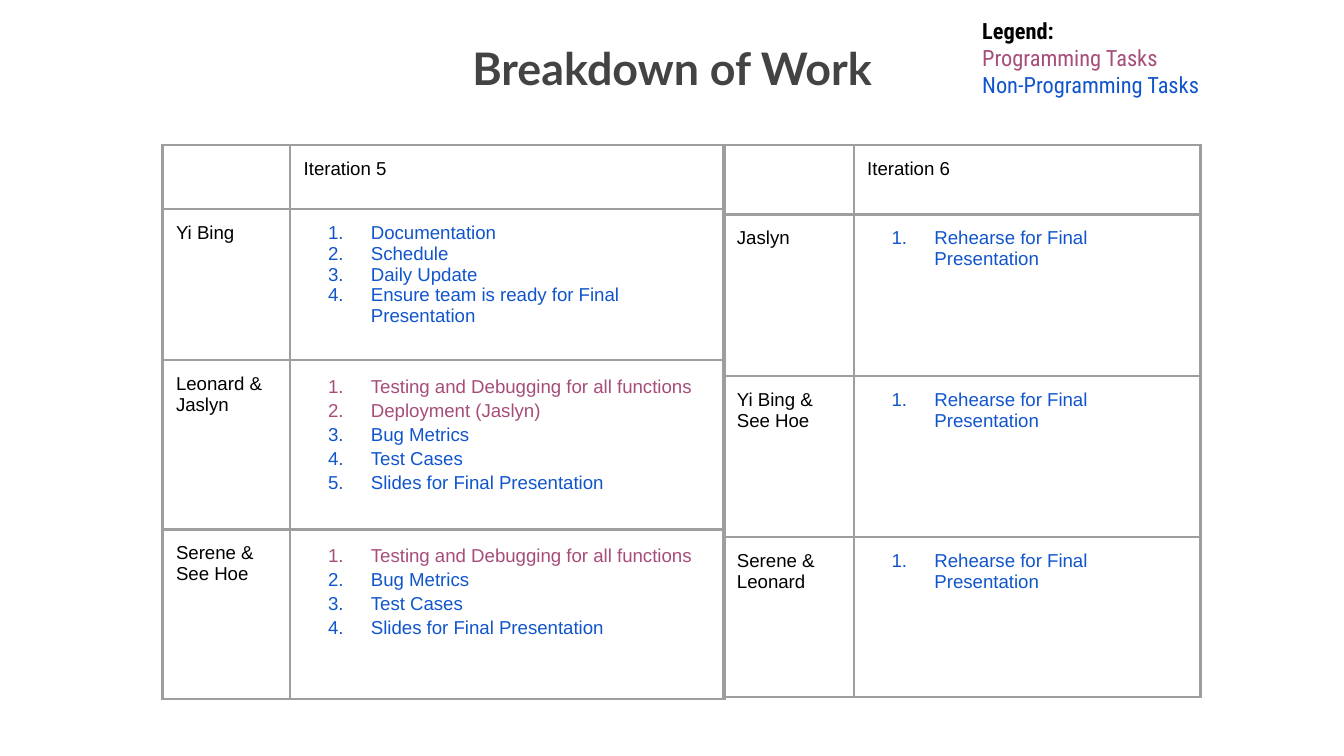
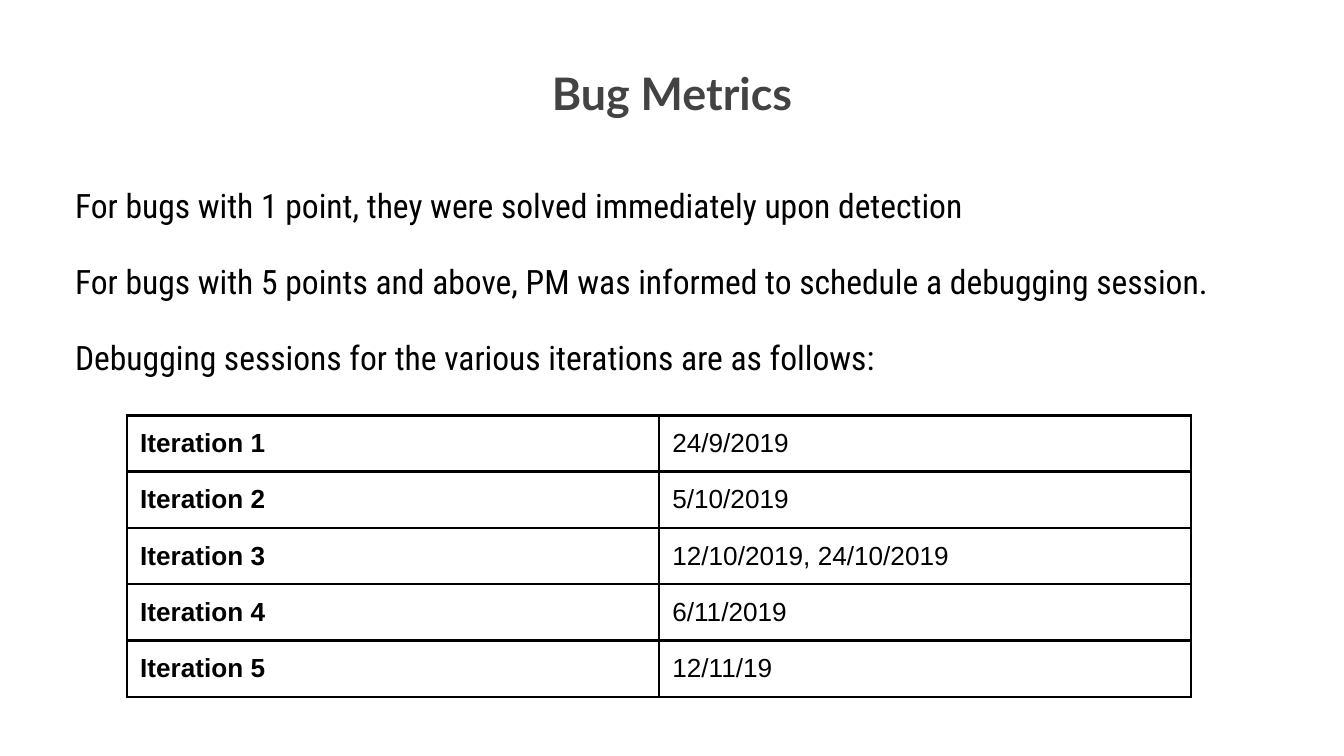
from pptx import Presentation
from pptx.dml.color import RGBColor as RGB
from pptx.enum.text import MSO_ANCHOR as ANCHOR, MSO_AUTO_SIZE as AUTO, PP_ALIGN as ALIGN
from pptx.util import Pt
from lxml.etree import SubElement as sub

A = "{http://schemas.openxmlformats.org/drawingml/2006/main}"
C = {"black": "000000", "title": "434343", "program": "A64D79",
     "other": "1155CC", "grey": "9E9E9E"}
INSET = Pt(7.2)


def add_text(tf, lines, font, size, spacing=None, before=0, align=ALIGN.LEFT):
    tf.margin_left = tf.margin_right = tf.margin_top = tf.margin_bottom = INSET
    tf.word_wrap = True
    tf.auto_size = AUTO.NONE
    tf.vertical_anchor = ANCHOR.TOP
    for i, (text, color, bold) in enumerate(lines):
        p = tf.add_paragraph() if i else tf.paragraphs[0]
        p.text = text
        p.alignment = align
        if spacing:
            p.line_spacing = spacing
        p.space_before = Pt(before if i else 0)
        r = p.runs[0]
        r.font.name = font
        r.font.size = Pt(size)
        r.font.bold = bold
        r.font.color.rgb = RGB.from_string(C[color])


def add_table(s, x, y, cols, heights, rows, size, border, bold_names=False):
    frame = s.shapes.add_table(len(heights), len(cols), Pt(x), Pt(y),
                               Pt(sum(cols)), Pt(sum(heights)))
    tbl = frame.table
    tbl.first_row = tbl.horz_banding = False
    for col, w in zip(tbl.columns, cols):
        col.width = Pt(w)
    for row, h in zip(tbl.rows, heights):
        row.height = Pt(h)
    for i, row in enumerate(rows):
        for j, content in enumerate(row):
            cell = tbl.cell(i, j)
            cell.margin_left = cell.margin_right = INSET
            cell.margin_top = cell.margin_bottom = INSET
            tcPr = cell._tc.get_or_add_tcPr()
            for side in ("lnL", "lnR", "lnT", "lnB"):
                ln = sub(tcPr, A + side, w=str(Pt(1.5)))
                sub(sub(ln, A + "solidFill"), A + "srgbClr", val=C[border])
            cell.fill.background()
            listed = isinstance(content, tuple)
            spacing, items = content if listed else (None, [(content, "black")])
            tf = cell.text_frame
            if not content:
                tf.paragraphs[0]._p.get_or_add_endParaRPr().set("sz", str(size * 100))
                continue
            for k, (text, color) in enumerate(items):
                p = tf.add_paragraph() if k else tf.paragraphs[0]
                p.text = text
                if spacing:
                    p.line_spacing = spacing
                r = p.runs[0]
                r.font.name = "Arial"
                r.font.size = Pt(size)
                r.font.bold = bold_names and j == 0
                r.font.color.rgb = RGB.from_string(C[color])
                if listed:
                    pPr = p._p.get_or_add_pPr()
                    pPr.set("marL", str(Pt(36)))
                    pPr.set("indent", str(Pt(-23)))
                    sub(sub(pPr, A + "buClr"), A + "srgbClr", val=C[color])
                    sub(pPr, A + "buFont", typeface="Arial")
                    sub(pPr, A + "buAutoNum", type="arabicPeriod")


prs = Presentation()
prs.slide_width, prs.slide_height = Pt(720), Pt(405)

slides = []
for title, top, height in [("Breakdown of Work", 14.4, 43.2), ("Bug Metrics", 28.1, 74.2)]:
    s = prs.slides.add_slide(prs.slide_layouts[5])
    sp = s.shapes.title
    sp.left, sp.top, sp.width, sp.height = Pt(154.8), Pt(top), Pt(410.4), Pt(height)
    add_text(sp.text_frame, [(title, "title", True)], "Lato", 24, align=ALIGN.CENTER)
    slides.append(s)
work, bugs = slides

legend = work.shapes.add_textbox(Pt(519.1), Pt(2.2), Pt(149), Pt(51.8))
add_text(legend.text_frame, [("Legend:", "black", True),
                             ("Programming Tasks", "program", False),
                             ("Non-Programming Tasks", "other", False)],
         "Roboto Condensed", 12)

testing = ("Testing and Debugging for all functions", "program")
closing = [("Bug Metrics", "other"), ("Test Cases", "other"),
           ("Slides for Final Presentation", "other")]
planning = [("Documentation", "other"), ("Schedule", "other"), ("Daily Update", "other"),
            ("Ensure team is ready for Final Presentation", "other")]
rehearse = (None, [("Rehearse for Final Presentation", "other")])

add_table(work, 87.1, 77.8, [68.4, 232.6], [34.2, 81, 90.7, 90.7], [
    ("", "Iteration 5"),
    ("Yi Bing", (None, planning)),
    ("Leonard & Jaslyn", (1.15, [testing, ("Deployment (Jaslyn)", "program")] + closing)),
    ("Serene & See Hoe", (1.15, [testing] + closing)),
], 10, "grey")
add_table(work, 387.6, 77.8, [69.8, 185.8], [37.2, 86.4, 86.4, 85.7], [
    ("", "Iteration 6"),
    ("Jaslyn", rehearse),
    ("Yi Bing & See Hoe", rehearse),
    ("Serene & Leonard", rehearse),
], 10, "grey")

body = bugs.shapes.add_textbox(Pt(33.1), Pt(88.6), Pt(653.8), Pt(101.5))
add_text(body.text_frame, [(text, "black", False) for text in (
    "For bugs with 1 point, they were solved immediately upon detection",
    "For bugs with 5 points and above, PM was informed to schedule a debugging session.",
    "Debugging sessions for the various iterations are as follows:",
)], "Roboto Condensed", 18, spacing=1.15, before=16)

dates = ["24/9/2019", "5/10/2019", "12/10/2019, 24/10/2019", "6/11/2019", "12/11/19"]
add_table(bugs, 67.9, 222.5, [285.1] * 2, [30.1] * len(dates),
          [(f"Iteration {n}", date) for n, date in enumerate(dates, 1)],
          14, "black", bold_names=True)

prs.save("out.pptx")
